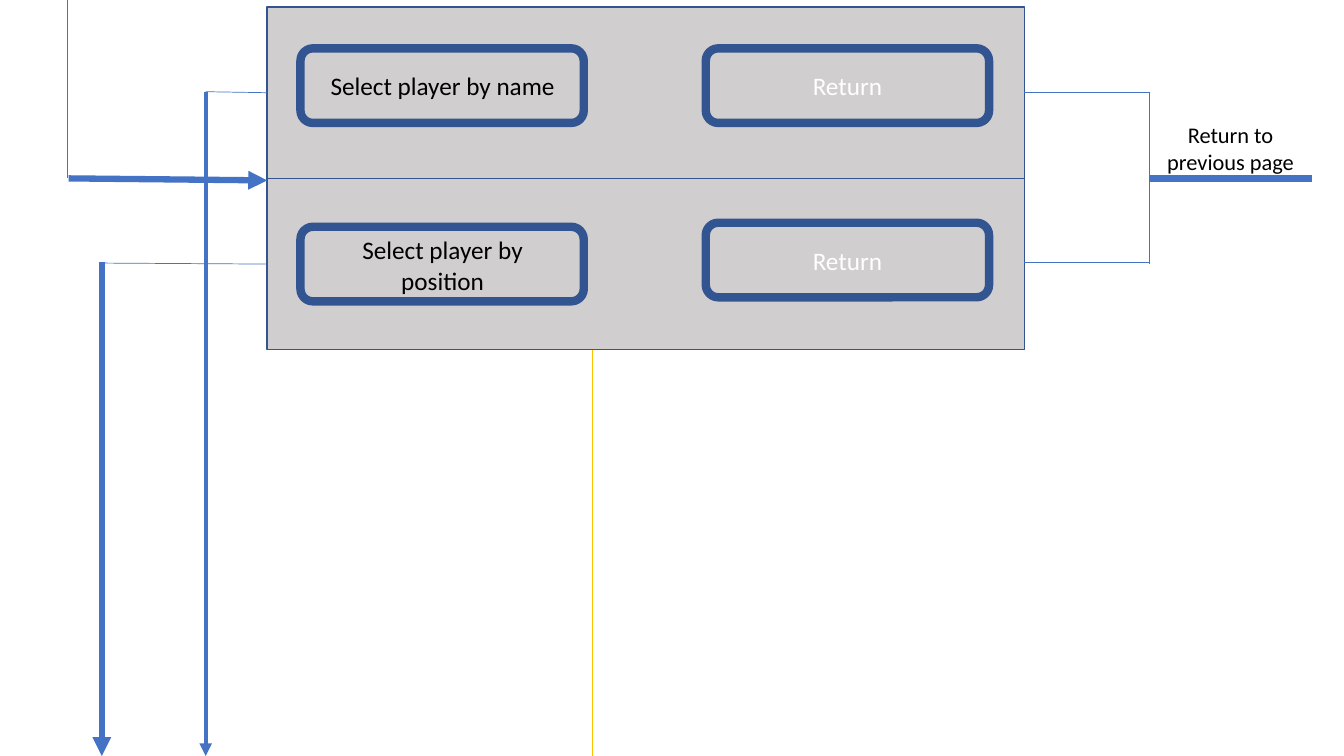
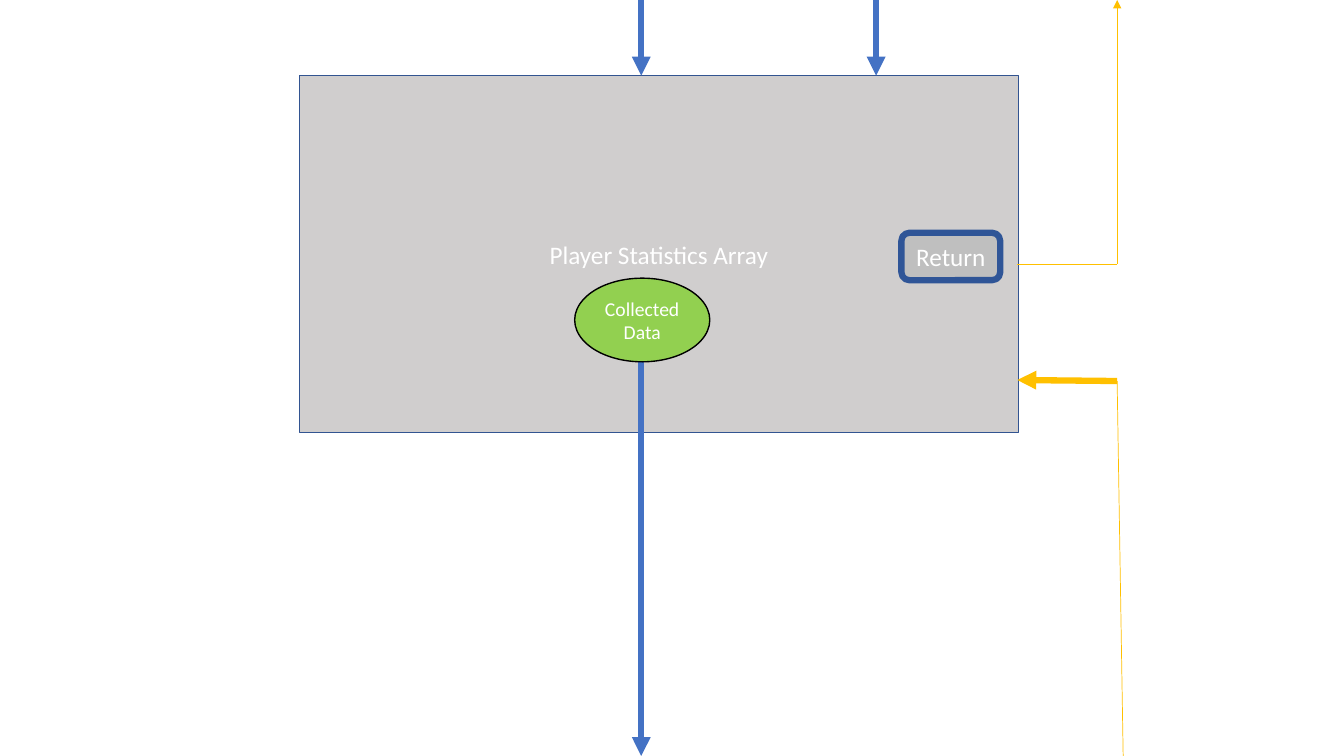
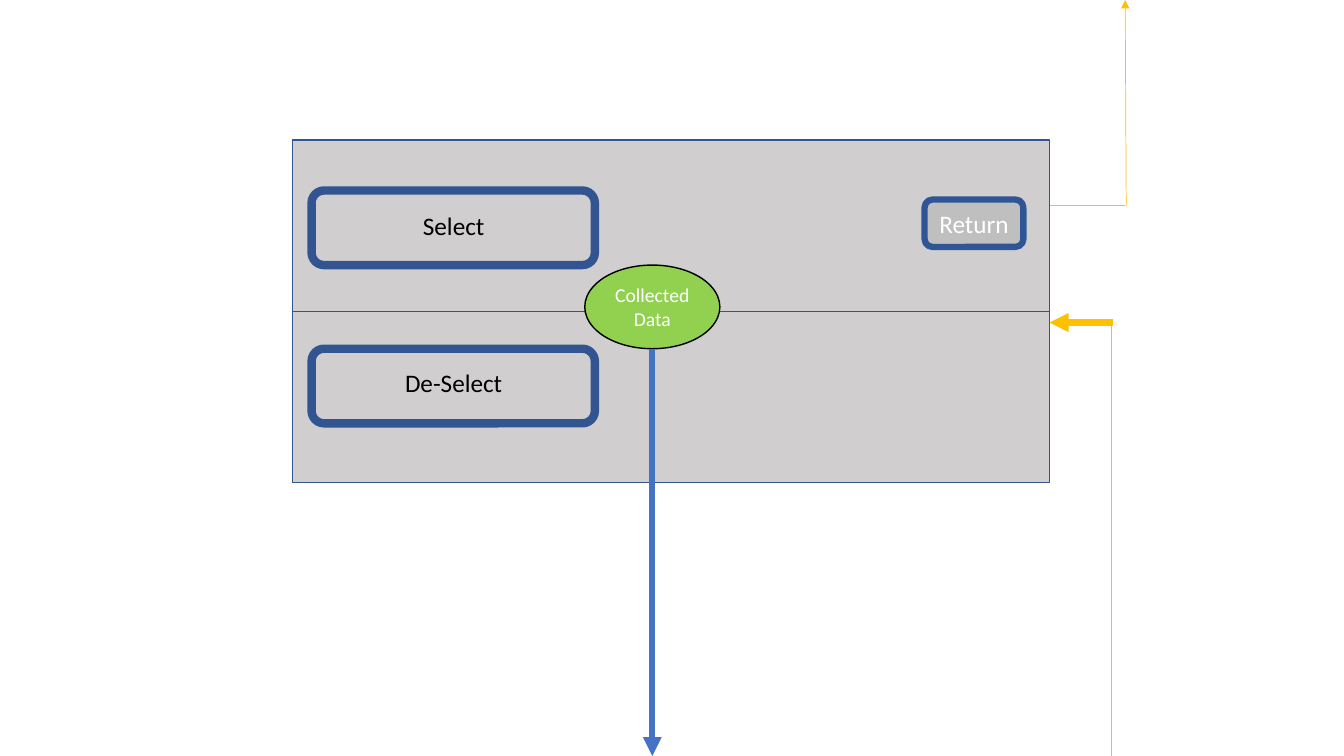
from pptx import Presentation
from pptx.dml.color import RGBColor
from pptx.enum.shapes import MSO_CONNECTOR as Connector, MSO_SHAPE as Shape
from pptx.enum.text import MSO_ANCHOR as Anchor, MSO_AUTO_SIZE as AutoSize, PP_ALIGN as Align
from pptx.oxml.ns import qn
from pptx.util import Inches, Pt
from lxml import etree

BLANK_LAYOUT = 6
SLIDE_WIDTH, SLIDE_HEIGHT = 13.33, 7.5


def color(value):
    return RGBColor.from_string(value)


class Flowchart:
    FONT = "Calibri"
    PANEL, BUTTON, DATA = "D0CECE", "BFBFBF", "92D050"
    BORDER, SMALL_BORDER = "325491", "2F5597"
    BLUE, GOLD = "4472C4", "FFC000"
    BLACK, WHITE = "000000", "FFFFFF"
    THIN, MEDIUM, THICK = 0.5, 3, 4.5
    ROW_WIDTH, ROW_HEIGHT = 7.51, 1.7
    BOX_WIDTH, BOX_HEIGHT = 2.81, 0.74

    def __init__(self):
        self.presentation = Presentation()
        self.presentation.slide_width = Inches(SLIDE_WIDTH)
        self.presentation.slide_height = Inches(SLIDE_HEIGHT)
        self.slide = None

    def new_slide(self):
        layout = self.presentation.slide_layouts[BLANK_LAYOUT]
        self.slide = self.presentation.slides.add_slide(layout)

    def set_text(self, shape, text, size, text_color):
        text_frame = shape.text_frame
        text_frame.word_wrap = True
        text_frame.text = text
        paragraph = text_frame.paragraphs[0]
        paragraph.alignment = Align.CENTER
        for run in paragraph.runs:
            run.font.name = self.FONT
            run.font.size = Pt(size)
            run.font.color.rgb = color(text_color)

    def shape(self, kind, left, top, width, height, fill, border, weight, text="", size=18):
        shape = self.slide.shapes.add_shape(
            kind, Inches(left), Inches(top), Inches(width), Inches(height))
        shape.shadow.inherit = False
        shape.fill.solid()
        shape.fill.fore_color.rgb = color(fill)
        shape.line.color.rgb = color(border)
        shape.line.width = Pt(weight)
        if text:
            shape.text_frame.vertical_anchor = Anchor.MIDDLE
            self.set_text(shape, text, size, self.WHITE)

    def panel(self, left, top, width, height, text=""):
        self.shape(Shape.RECTANGLE, left, top, width, height, self.PANEL, self.BORDER, 1, text)

    def two_rows(self, left, top):
        for row in range(2):
            self.panel(left, top + row * self.ROW_HEIGHT, self.ROW_WIDTH, self.ROW_HEIGHT)

    def box(self, left, top, text=""):
        self.shape(Shape.ROUNDED_RECTANGLE, left, top, self.BOX_WIDTH, self.BOX_HEIGHT,
                   self.PANEL, self.BORDER, 6, text)

    def option(self, left, top, text, label_top, label_height=0.4):
        self.box(left, top)
        self.label(left + 0.11, label_top, 2.6, label_height, text)

    def label(self, left, top, width, height, text, size=18):
        label = self.slide.shapes.add_textbox(
            Inches(left), Inches(top), Inches(width), Inches(height))
        self.set_text(label, text, size, self.BLACK)
        label.text_frame.auto_size = AutoSize.SHAPE_TO_FIT_TEXT

    def return_button(self, left, top):
        self.shape(Shape.ROUNDED_RECTANGLE, left, top, 0.98, 0.47,
                   self.BUTTON, self.SMALL_BORDER, 4.5, "Return")

    def collected_data(self, left, top):
        self.shape(Shape.OVAL, left, top, 1.34, 0.83,
                   self.DATA, self.BLACK, 1, "Collected Data", 14)

    def line(self, start, end, line_color=BLUE, weight=THIN, arrow=False):
        connector = self.slide.shapes.add_connector(
            Connector.STRAIGHT, *(Inches(value) for value in (*start, *end)))
        connector.line.color.rgb = color(line_color)
        connector.line.width = Pt(weight)
        properties = connector._element.spPr
        if arrow:
            etree.SubElement(properties.find(qn("a:ln")), qn("a:tailEnd"), type="triangle")
        etree.SubElement(properties, qn("a:effectLst"))

    def arrow(self, start, end, line_color=BLUE, weight=THICK):
        self.line(start, end, line_color, weight, arrow=True)

    def player_selection(self):
        self.new_slide()
        self.two_rows(2.65, 0.07)
        self.option(2.98, 0.48, "Select player by name", 0.65)
        self.option(2.98, 2.25, "Select player by position", 2.28, 0.71)
        for top in (0.48, 2.21):
            self.box(7, top, "Return")

        self.line((2.65, 0.92), (2.04, 0.91))
        self.line((2.65, 2.62), (1.01, 2.61))
        for y in (0.92, 2.6):
            self.line((10.16, y), (11.4, y))
        self.line((11.4, 0.91), (11.4, 2.62))
        self.line((11.4, 1.77), (13.01, 1.77), weight=self.THICK)
        self.label(11.4, 1.15, 1.61, 0.64, "Return to previous page", 16)

        self.line((0.67, 0), (0.67, 1.77))
        self.arrow((0.68, 1.77), (2.65, 1.79))
        self.arrow((2.04, 0.91), (2.04, SLIDE_HEIGHT), weight=self.MEDIUM)
        self.arrow((1.01, 2.6), (1.01, SLIDE_HEIGHT))
        self.line((5.88, 3.47), (5.88, SLIDE_HEIGHT), self.GOLD)

    def player_statistics(self):
        self.new_slide()
        self.panel(2.97, 0.75, 7.13, 3.54, "Player Statistics Array")
        for x in (6.36, 8.69):
            self.arrow((x, 0), (x, 0.75))
        self.arrow((11.08, 2.62), (11.08, 0), self.GOLD, self.THIN)
        self.line((11.08, 2.62), (10.09, 2.62), self.GOLD)
        self.arrow((6.36, 3.59), (6.36, SLIDE_HEIGHT))
        self.collected_data(5.7, 2.76)
        self.return_button(8.94, 2.31)
        self.line((11.14, SLIDE_HEIGHT), (11.08, 3.78), self.GOLD)
        self.arrow((11.08, 3.78), (10.09, 3.77), self.GOLD)

    def selection_choice(self):
        self.new_slide()
        self.two_rows(2.9, 1.39)
        self.option(3.09, 1.89, "Select", 2.04)
        self.option(3.09, 3.46, "De-Select", 3.59)
        self.collected_data(5.8, 2.63)
        self.arrow((6.47, 3.46), (6.47, SLIDE_HEIGHT))
        self.return_button(9.17, 1.98)
        self.line((10.41, 2.04), (11.16, 2.04), self.GOLD)
        self.arrow((11.17, 2.04), (11.16, 0), self.GOLD, self.THIN)
        self.line((11.02, SLIDE_HEIGHT), (11.02, 3.21), self.GOLD)
        self.arrow((11.04, 3.2), (10.41, 3.2), self.GOLD)


flowchart = Flowchart()
flowchart.player_selection()
flowchart.player_statistics()
flowchart.selection_choice()
flowchart.presentation.save("out.pptx")
